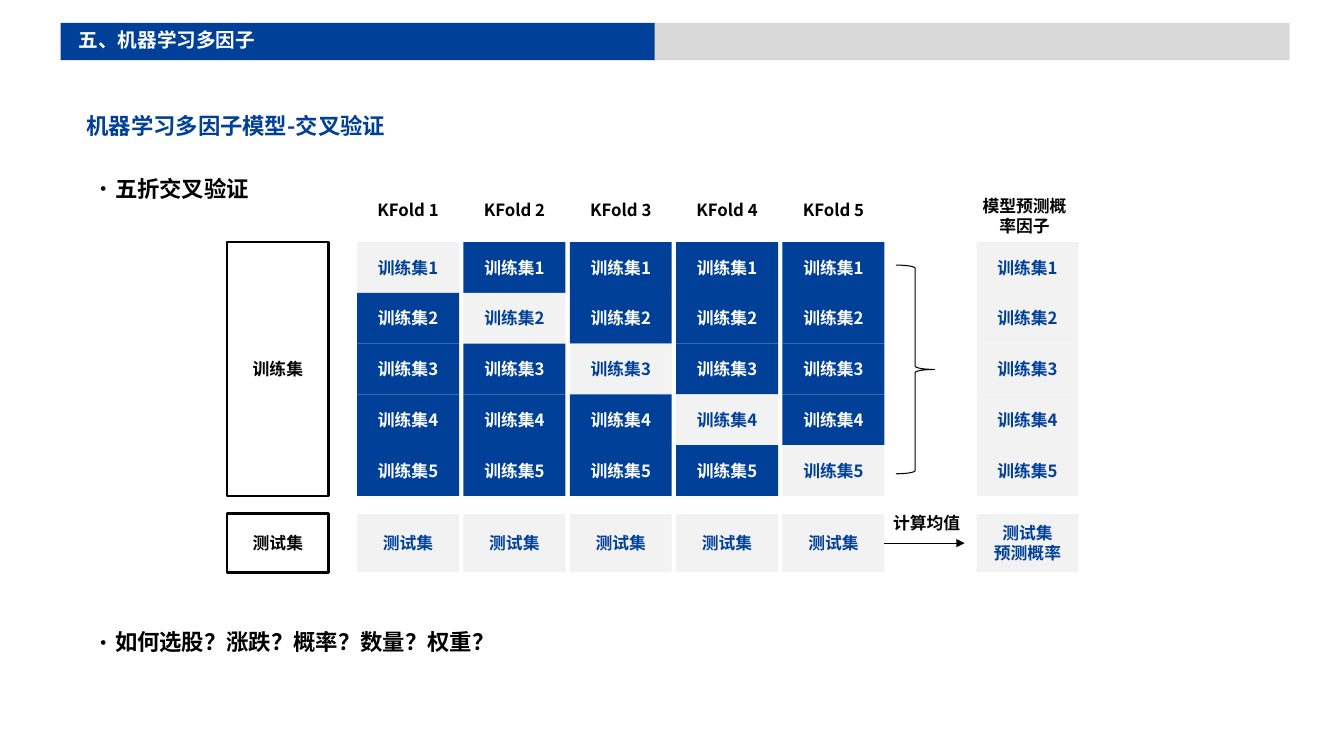
from lxml import etree
from pptx import Presentation
from pptx.dml.color import RGBColor
from pptx.enum import shapes, text
from pptx.oxml import ns
from pptx.util import Cm, Pt

SECTION = "五、机器学习多因子"
TITLE = "机器学习多因子模型-交叉验证"
BULLETS = [("五折交叉验证", 3.94), ("如何选股？涨跌？概率？数量？权重？", 15.37)]
FOLDS = ["KFold 1", "KFold 2", "KFold 3", "KFold 4", "KFold 5"]
TRAINING_PARTS = ["训练集1", "训练集2", "训练集3", "训练集4", "训练集5"]
TRAINING, TEST = "训练集", "测试集"
TEST_RESULT = "测试集\n预测概率"
RESULT_HEADER = "模型预测概率因子"
AVERAGE = "计算均值"

FONT = "Noto Sans CJK SC"
BLUE = RGBColor(0x00, 0x40, 0x98)
GRAY = RGBColor(0xD9, 0xD9, 0xD9)
PALE = RGBColor(0xF2, 0xF2, 0xF2)
BLACK = RGBColor(0, 0, 0)
WHITE = RGBColor(0xFF, 0xFF, 0xFF)

# Diagram grid, in centimetres
LABEL_LEFT, FOLD_LEFT, RESULT_LEFT = 5.72, 9.0, 24.61
FOLD_PITCH, CELL_WIDTH, CELL_HEIGHT = 2.68, 2.57, 1.28
TRAIN_TOP, TEST_TOP, TEST_HEIGHT = 6.1, 12.95, 1.47
HEADER_TOP = 4.92

presentation = Presentation()
presentation.slide_width, presentation.slide_height = Cm(33.87), Cm(19.05)
slide = presentation.slides.add_slide(presentation.slide_layouts[6])


def write(shape, content, size, color, align, bullet=False):
    frame = shape.text_frame
    frame.word_wrap = True
    frame.text = content
    for paragraph in frame.paragraphs:
        paragraph.alignment = align
        if bullet:
            paragraph.line_spacing = 1.5
            properties = paragraph._p.get_or_add_pPr()
            properties.set("marL", str(Cm(0.72)))
            properties.set("indent", str(-Cm(0.58)))
            etree.SubElement(properties, ns.qn("a:buFont")).set("typeface", FONT)
            etree.SubElement(properties, ns.qn("a:buChar")).set("char", "·")
        font = paragraph.font
        font.name, font.size, font.bold = FONT, Pt(size), True
        font.color.rgb = color
        defaults = paragraph._p.pPr.find(ns.qn("a:defRPr"))
        etree.SubElement(defaults, ns.qn("a:ea")).set("typeface", FONT)


def add_text(content, left, top, width, height, size=12, color=BLACK,
             align=text.PP_ALIGN.CENTER, bullet=False):
    box = slide.shapes.add_textbox(Cm(left), Cm(top), Cm(width), Cm(height))
    write(box, content, size, color, align, bullet)
    box.text_frame.auto_size = text.MSO_AUTO_SIZE.SHAPE_TO_FIT_TEXT


def add_box(left, top, width, height, fill=None, line=None, content="", color=BLUE,
            kind=shapes.MSO_SHAPE.RECTANGLE):
    """Draw a preset shape; line is a black outline width in points."""
    shape = slide.shapes.add_shape(kind, Cm(left), Cm(top), Cm(width), Cm(height))
    shape.shadow.inherit = False
    if fill is None:
        shape.fill.background()
    else:
        shape.fill.solid()
        shape.fill.fore_color.rgb = fill
    if line is None:
        shape.line.fill.background()
    else:
        shape.line.color.rgb = BLACK
        shape.line.width = Pt(line)
    if content:
        shape.text_frame.vertical_anchor = text.MSO_ANCHOR.MIDDLE
        write(shape, content, 12, color, text.PP_ALIGN.CENTER)


def add_training_column(left, held_out):
    """Stack the five training parts, with the held-out rows in pale gray."""
    for row, part in enumerate(TRAINING_PARTS):
        fill, color = (PALE, BLUE) if row in held_out else (BLUE, WHITE)
        add_box(left, TRAIN_TOP + row * CELL_HEIGHT, CELL_WIDTH, CELL_HEIGHT,
                fill, content=part, color=color)


def add_arrow(left, right, y):
    arrow = slide.shapes.add_connector(
        shapes.MSO_CONNECTOR.STRAIGHT, Cm(left), Cm(y), Cm(right), Cm(y))
    arrow.line.color.rgb = BLACK
    arrow.line.width = Pt(0.75)
    etree.SubElement(arrow.line._get_or_add_ln(), ns.qn("a:tailEnd")).set("type", "triangle")
    etree.SubElement(arrow._element.spPr, ns.qn("a:effectLst"))


# Header and headings
add_box(1.53, 0.58, 15.0, 0.94, BLUE)
add_box(16.5, 0.58, 16.0, 0.94, GRAY)
add_text(SECTION, 1.73, 0.58, 9.2, 0.86, 14, WHITE, text.PP_ALIGN.LEFT)
add_text(TITLE, 1.93, 2.69, 29.62, 0.94, 16, BLUE, text.PP_ALIGN.LEFT)
for content, top in BULLETS:
    add_text(content, 1.93, top, 29.62, 1.2, 16, BLACK, text.PP_ALIGN.LEFT, bullet=True)

# Row labels
add_box(LABEL_LEFT, TRAIN_TOP, CELL_WIDTH, CELL_HEIGHT * len(TRAINING_PARTS),
        line=2, content=TRAINING, color=BLACK)
add_box(LABEL_LEFT, TEST_TOP, CELL_WIDTH, TEST_HEIGHT, line=2, content=TEST, color=BLACK)

# One column per fold
for index, fold in enumerate(FOLDS):
    left = FOLD_LEFT + index * FOLD_PITCH
    add_text(fold, left, HEADER_TOP, CELL_WIDTH, 0.78)
    add_training_column(left, {index})
    add_box(left, TEST_TOP, CELL_WIDTH, TEST_HEIGHT, PALE, content=TEST)

# Combined result
add_box(22.58, 6.68, 0.97, 5.26, line=0.75, kind=shapes.MSO_SHAPE.RIGHT_BRACE)
add_arrow(22.28, 24.31, TEST_TOP + TEST_HEIGHT / 2)
add_text(AVERAGE, 22.07, 12.8, CELL_WIDTH, 0.78)
add_text(RESULT_HEADER, 24.31, 4.8, 3.02, 1.28)
add_training_column(RESULT_LEFT, set(range(len(TRAINING_PARTS))))
add_box(RESULT_LEFT, TEST_TOP, CELL_WIDTH, TEST_HEIGHT, PALE, content=TEST_RESULT)

presentation.save("out.pptx")
